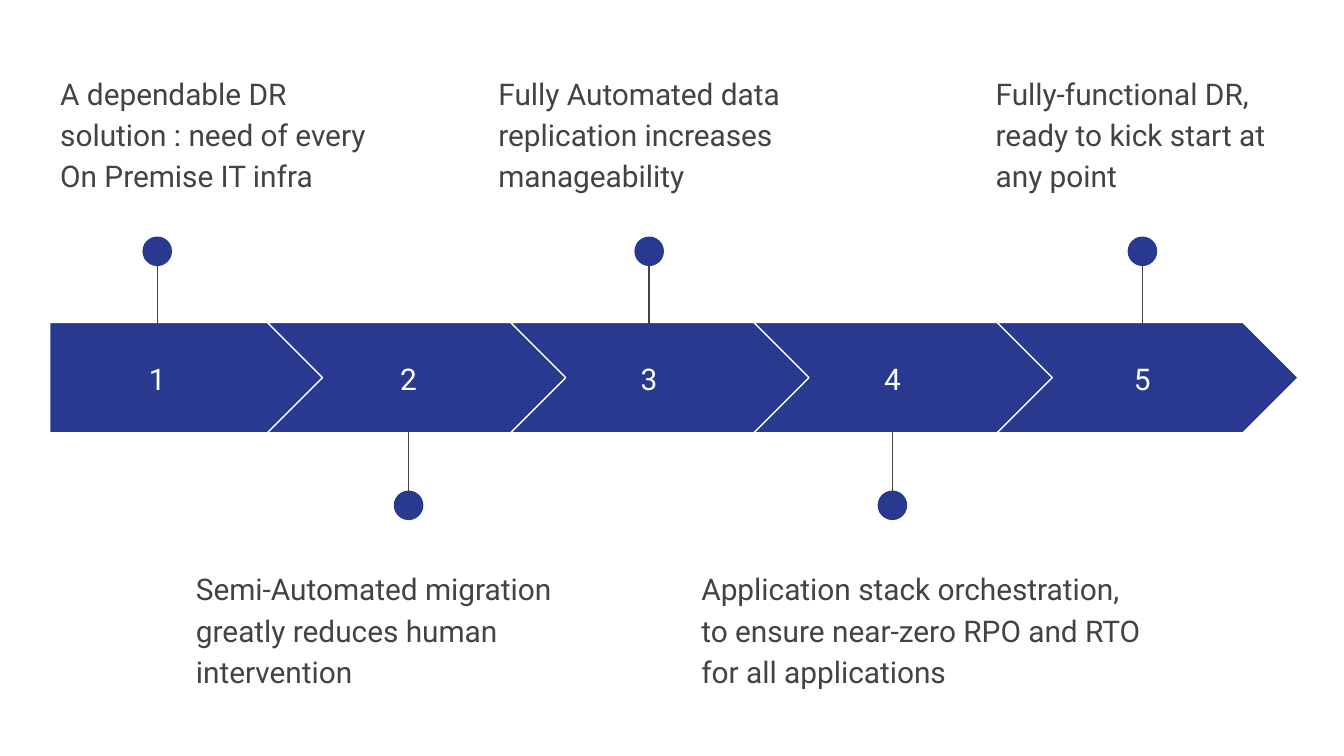
from pptx import Presentation
from pptx.dml.color import RGBColor
from pptx.enum.shapes import MSO_CONNECTOR, MSO_SHAPE
from pptx.enum.text import MSO_ANCHOR, PP_ALIGN
from pptx.oxml.ns import qn
from pptx.util import Inches, Pt
from lxml.etree import SubElement

BLUE, GREY, WHITE = "2A3990", "434343", "FFFFFF"


def color(value):
    return RGBColor.from_string(value)


def add_text(page, text, place, ink, anchor, paragraph_format):
    box = page.shapes.add_textbox(*map(Inches, place))
    frame = box.text_frame
    frame_format = {"word_wrap": True, "vertical_anchor": anchor}
    for side in ("left", "top", "right", "bottom"):
        frame_format[f"margin_{side}"] = Inches(0.1)
    for name, value in frame_format.items():
        setattr(frame, name, value)
    para = frame.paragraphs[0]
    for name, value in paragraph_format.items():
        setattr(para, name, value)
    span = para.add_run()
    span.text = text
    for name, value in {"name": "Roboto", "size": Pt(16)}.items():
        setattr(span.font, name, value)
    span.font.color.rgb = color(ink)


deck = Presentation()
deck.slide_width = Inches(10)
deck.slide_height = Inches(10 * 9 / 16)
page = deck.slides.add_slide(deck.slide_layouts[6])

steps = [
    (1.17, 1.59, 0.35, 2.7, "A dependable DR solution : need of every On Premise IT infra"),
    (3.04, 1.44, 1.36, 2.87, "Semi-Automated migration greatly reduces human intervention"),
    (4.83, 1.44, 3.61, 2.45, "Fully Automated data replication increases manageability"),
    (6.64, 1.44, 5.12, 3.49,
     "Application stack orchestration, to ensure near-zero RPO and RTO for all applications"),
    (8.5, 1.44, 7.31, 2.45, "Fully-functional DR, ready to kick start at any point"),
]
number_format = {"alignment": PP_ALIGN.CENTER}
caption_format = {"line_spacing": 1.15, "space_after": Pt(16)}
dot_size = 0.22

for index, (center, number_width, caption_left, caption_width, caption) in enumerate(steps):
    if index == 0:
        kind, left, width = MSO_SHAPE.PENTAGON, 0.37, 2.05
    else:
        kind, left, width = MSO_SHAPE.CHEVRON, 1.99 + 1.81 * (index - 1), 2.24
    arrow = page.shapes.add_shape(kind, Inches(left), Inches(2.4), Inches(width), Inches(0.82))
    arrow.adjustments[0] = 0.5
    arrow.shadow.inherit = False
    arrow.fill.solid()
    arrow.fill.fore_color.rgb = color(BLUE)
    arrow.line.color.rgb = color(WHITE)
    arrow.line.width = Pt(0.75)

    number_place = (center - number_width / 2, 2.56, number_width, 0.51)
    add_text(page, str(index + 1), number_place, WHITE, MSO_ANCHOR.MIDDLE, number_format)

    if index % 2 == 0:
        pin_start, pin_end, dot_top, caption_top = 1.8, 2.41, 1.76, 0.42
    else:
        pin_start, pin_end, dot_top, caption_top = 3.82, 3.21, 3.65, 4.11
    pin = page.shapes.add_connector(
        MSO_CONNECTOR.STRAIGHT,
        Inches(center), Inches(pin_start), Inches(center), Inches(pin_end))
    pin.line.color.rgb = color(GREY)
    pin.line.width = Pt(0.75)
    SubElement(pin._element.spPr, qn("a:effectLst"))

    dot = page.shapes.add_shape(
        MSO_SHAPE.OVAL, Inches(center - dot_size / 2), Inches(dot_top),
        Inches(dot_size), Inches(dot_size))
    dot.shadow.inherit = False
    dot.fill.solid()
    dot.fill.fore_color.rgb = color(BLUE)
    dot.line.fill.background()

    caption_place = (caption_left, caption_top, caption_width, 0.99)
    add_text(page, caption, caption_place, GREY, MSO_ANCHOR.TOP, caption_format)

deck.save("out.pptx")
